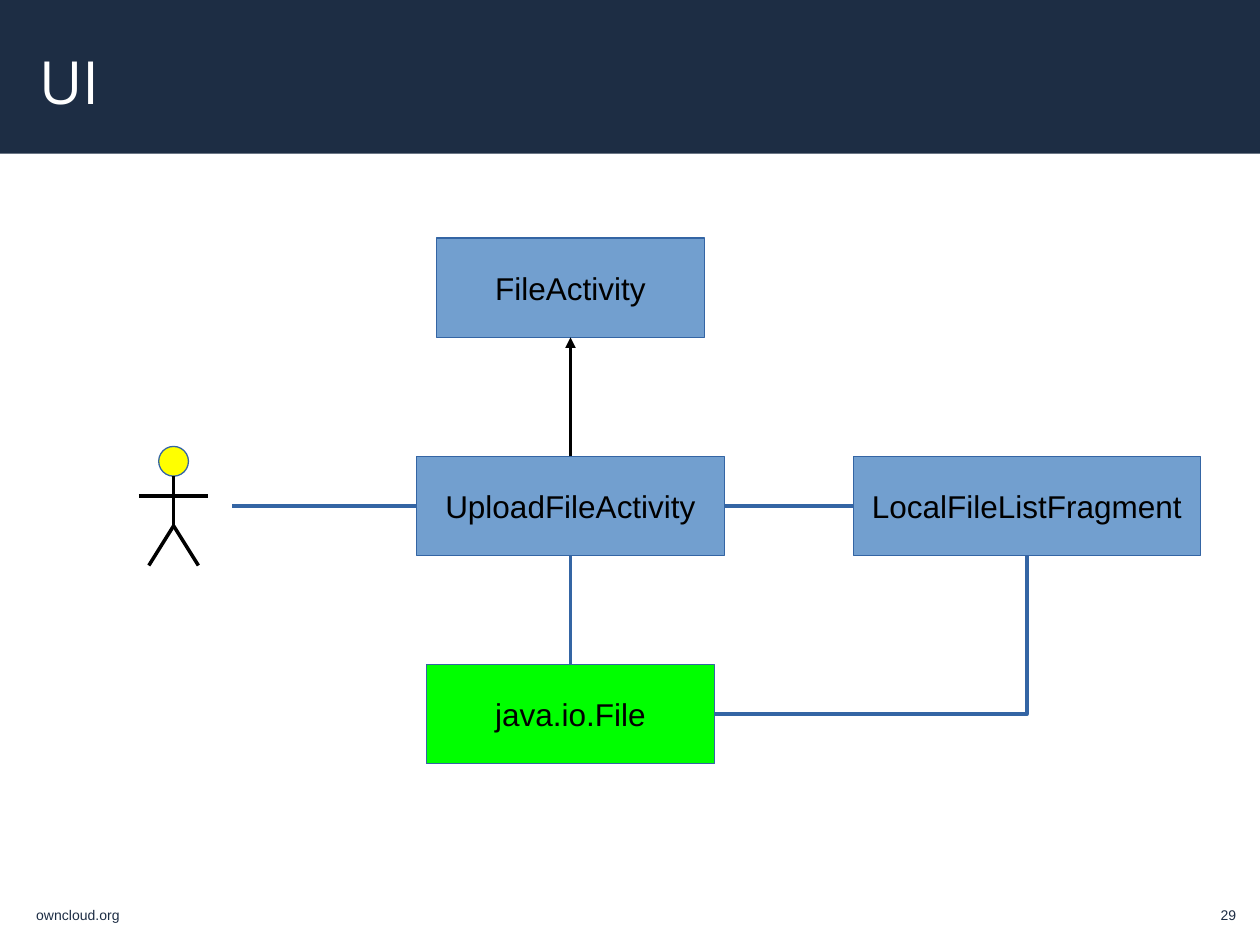
from typing import NamedTuple

from lxml.etree import SubElement
from pptx import Presentation
from pptx.dml.color import RGBColor
from pptx.enum.shapes import MSO_CONNECTOR as Conn, MSO_SHAPE as Kind
from pptx.enum.text import MSO_ANCHOR as Anchor, MSO_AUTO_SIZE as Fit, PP_ALIGN as Align
from pptx.oxml.ns import qn
from pptx.util import Cm, Pt

NAVY = RGBColor(0x1D, 0x2D, 0x44)
BLUE = RGBColor(0x72, 0x9F, 0xCF)
EDGE = RGBColor(0x34, 0x65, 0xA4)
GREEN = RGBColor(0x00, 0xFF, 0x00)
YELLOW = RGBColor(0xFF, 0xFF, 0x00)
BLACK = RGBColor(0x00, 0x00, 0x00)
WHITE = RGBColor(0xFF, 0xFF, 0xFF)

AXIS, ROW, HIGH = 11.5, 9.2, 2.0  # shared centre, middle row, box height
TOP, LEFT, BOTTOM, RIGHT = range(4)  # connection sites of a rectangle


class Box(NamedTuple):
    text: str
    mid: float
    top: float
    width: float
    fill: RGBColor = BLUE


class Link(NamedTuple):
    start: str
    out: int
    end: str
    into: int
    color: RGBColor = EDGE
    bent: bool = False
    arrow: bool = False


class Note(NamedTuple):
    text: str
    left: float
    width: float
    align: Align


BOXES = [
    Box("FileActivity", AXIS, 4.8, 5.4),
    Box("LocalFileListFragment", 20.7, ROW, 7.0),
    Box("UploadFileActivity", AXIS, ROW, 6.2),
    Box("java.io.File", AXIS, 13.4, 5.8, GREEN),
]
LINKS = [
    Link("UploadFileActivity", TOP, "FileActivity", BOTTOM, BLACK, arrow=True),
    Link("java.io.File", TOP, "UploadFileActivity", BOTTOM),
    Link("LocalFileListFragment", LEFT, "UploadFileActivity", RIGHT),
    Link("java.io.File", RIGHT, "LocalFileListFragment", BOTTOM, bent=True),
]
NOTES = [
    Note("29", 23.06, 2.11, Align.RIGHT),
    Note("owncloud.org", 0.48, 4.57, Align.LEFT),
]
LIMBS = [
    (2.8, 10.0, 4.2, 10.0),  # arms
    (3.5, 10.6, 3.0, 11.4),  # left leg
    (3.5, 10.6, 4.0, 11.4),  # right leg
    (3.5, 9.6, 3.5, 10.6),  # body
]


def style(para, size: float, color: RGBColor, face: str = "Arial") -> None:
    font = para.runs[0].font
    font.name, font.size = face, Pt(size)
    font.color.rgb = color


def add_form(shapes, kind: Kind, area: tuple, fill: RGBColor, edge=None):
    form = shapes.add_shape(kind, *map(Cm, area))
    form.shadow.inherit = False
    form.fill.solid()
    form.fill.fore_color.rgb = fill
    if edge is None:
        form.line.fill.background()
    else:
        form.line.color.rgb = edge
        form.line.width = 0
    return form


def add_box(shapes, box: Box):
    area = (box.mid - box.width / 2, box.top, box.width, HIGH)
    form = add_form(shapes, Kind.RECTANGLE, area, box.fill, EDGE)
    frame = form.text_frame
    frame.text = box.text
    frame.vertical_anchor = Anchor.MIDDLE
    frame.paragraphs[0].alignment = Align.CENTER
    style(frame.paragraphs[0], 18, BLACK)
    return form


def add_line(shapes, ends: tuple, color: RGBColor, kind: Conn = Conn.STRAIGHT):
    line = shapes.add_connector(kind, *map(Cm, ends))
    line.line.color.rgb = color
    line.line.width = 0
    SubElement(line._element.spPr, qn("a:effectLst"))
    return line


def add_link(shapes, link: Link, forms: dict) -> None:
    kind = Conn.ELBOW if link.bent else Conn.STRAIGHT
    line = add_line(shapes, (0, 0, 0, 0), link.color, kind)
    line.begin_connect(forms[link.start], link.out)
    line.end_connect(forms[link.end], link.into)
    props = line._element.spPr
    if link.bent:  # one corner only
        props.find(qn("a:prstGeom")).set("prst", "bentConnector2")
    if link.arrow:
        SubElement(props.find(qn("a:ln")), qn("a:tailEnd"), type="triangle")


def add_note(shapes, note: Note) -> None:
    frame = shapes.add_textbox(*map(Cm, (note.left, 18.16, note.width, 0.64))).text_frame
    frame.word_wrap = True
    frame.text = note.text
    frame.paragraphs[0].alignment = note.align
    style(frame.paragraphs[0], 8, NAVY)


def set_title(title, text: str) -> None:
    title.left, title.top, title.width, title.height = map(Cm, (0.79, 0.1, 20.52, 3.05))
    frame = title.text_frame
    frame.text = text
    frame.auto_size = Fit.NONE
    frame.vertical_anchor = Anchor.MIDDLE
    frame.margin_left = frame.margin_right = frame.margin_top = frame.margin_bottom = 0
    frame.paragraphs[0].alignment = Align.LEFT
    style(frame.paragraphs[0], 34, WHITE, "Open Sans")


def main() -> None:
    deck = Presentation()
    deck.slide_width, deck.slide_height = Cm(25.4), Cm(19.05)
    shapes = deck.slides.add_slide(deck.slide_layouts[5]).shapes

    # Header band behind the title, then the footer
    band = add_form(shapes, Kind.RECTANGLE, (0, 0, 25.4, 3.1), NAVY)
    shapes.title._element.addprevious(band._element)
    set_title(shapes.title, "UI")
    for note in NOTES:
        add_note(shapes, note)

    # Classes and their links
    forms = {box.text: add_box(shapes, box) for box in BOXES}
    for link in LINKS:
        add_link(shapes, link, forms)

    # User figure and its line to the upload class
    user = shapes.add_group_shape().shapes
    add_form(user, Kind.OVAL, (3.2, 9.0, 0.6, 0.6), YELLOW, EDGE)
    for limb in LIMBS:
        add_line(user, limb, BLACK)
    add_line(shapes, (8.4, 10.2, 4.67, 10.2), EDGE)

    deck.save("out.pptx")


if __name__ == "__main__":
    main()
